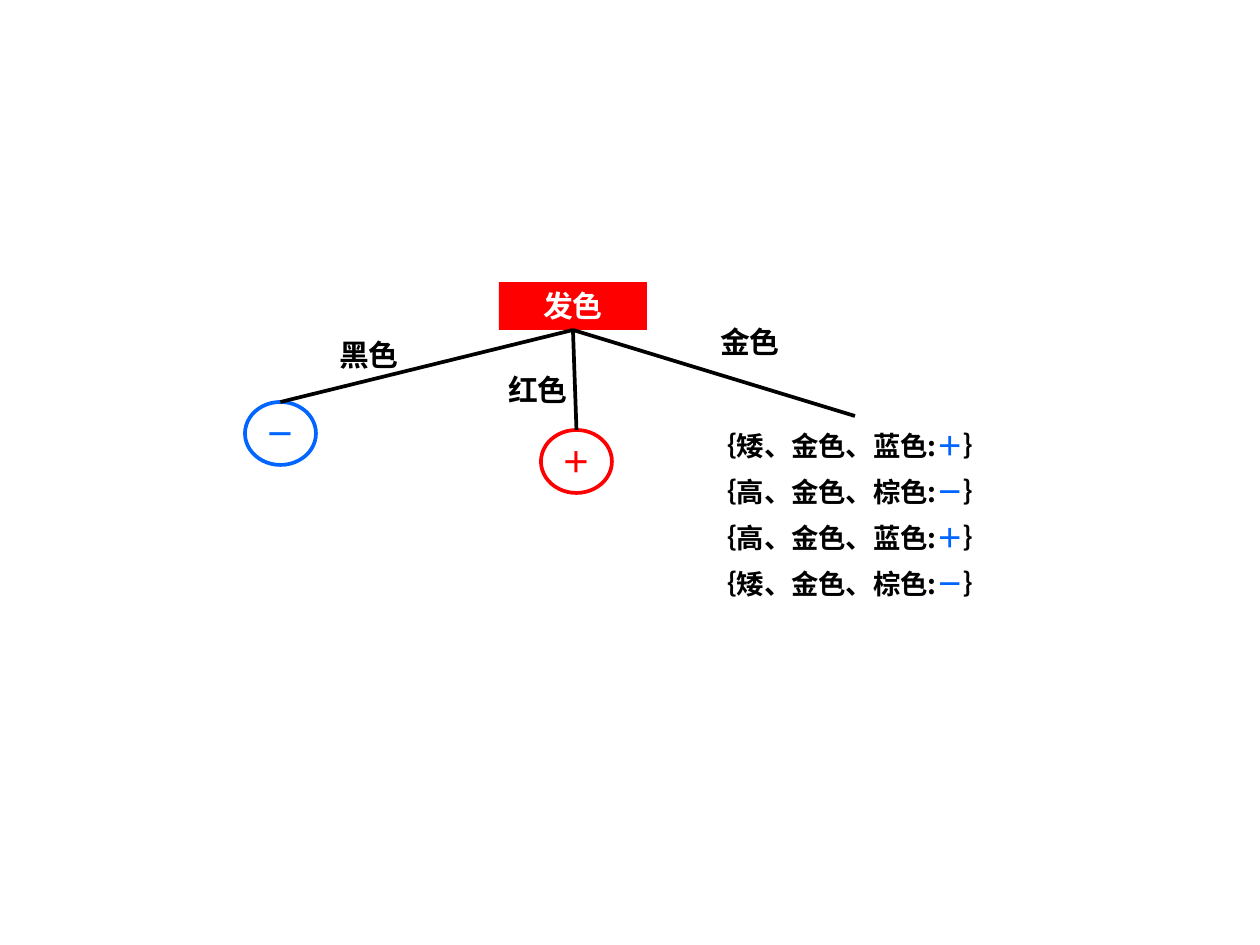
import pptx
import pptx.util
import pptx.dml.color
import pptx.enum.shapes
import pptx.enum.text
import pptx.oxml.ns
import lxml.etree

PX = 7658  # EMU per px
THEME = {
    "ink": "000000", "white": "FFFFFF", "red": "FF0000", "blue": "0066FF",
    "latin": "Arial", "sign": "Calibri", "cjk": "Noto Sans CJK SC",
    "label": 18, "example": 16.5, "row_gap": 8, "line": 2.25,
}
Pt = pptx.util.Pt
SHAPES = pptx.enum.shapes.MSO_SHAPE


def color(name):
    return pptx.dml.color.RGBColor.from_string(THEME[name])


def write(shape, rows, size, anchor="TOP", wrap=True):
    """Fill a shape with centred bold rows of (text, colour, font) runs."""
    frame = shape.text_frame
    layout = {"word_wrap": wrap,
              "auto_size": pptx.enum.text.MSO_AUTO_SIZE.NONE,
              "vertical_anchor": pptx.enum.text.MSO_ANCHOR[anchor]}
    for key, value in layout.items():
        setattr(frame, key, value)
    for index, row in enumerate(rows):
        paragraph = frame.paragraphs[0] if index == 0 else frame.add_paragraph()
        paragraph.alignment = pptx.enum.text.PP_ALIGN.CENTER
        paragraph.line_spacing = Pt(THEME[size] * 1.2)
        paragraph.space_before = Pt(THEME["row_gap"] if index else 0)
        for text, ink, face in row:
            run = paragraph.add_run()
            run.text = text
            run.font.color.rgb = color(ink)
            style = {"size": Pt(THEME[size]), "bold": True, "name": THEME[face]}
            for key, value in style.items():
                setattr(run.font, key, value)
            # East Asian face, placed right after the Latin one
            latin = run.font._element.find(pptx.oxml.ns.qn("a:latin"))
            east_asian = lxml.etree.Element(pptx.oxml.ns.qn("a:ea"), typeface=THEME["cjk"])
            latin.addnext(east_asian)


deck = pptx.Presentation()
deck.slide_width, deck.slide_height = 1260 * PX, 945 * PX
slide = deck.slides.add_slide(deck.slide_layouts[6])
shapes = slide.shapes

# Root of the decision tree
NODE_W, NODE_H = 148, 48
root = shapes.add_shape(SHAPES.RECTANGLE, 499 * PX, 282 * PX, NODE_W * PX, NODE_H * PX)
root.shadow.inherit = False
root.fill.solid()
root.fill.fore_color.rgb = color("red")
root.line.fill.background()
write(root, [[("发色", "white", "latin")]], "label")

# Branch labels
for hair, left, top in [("黑色", 295, 331), ("红色", 464, 366), ("金色", 676, 318)]:
    branch_label = shapes.add_textbox(left * PX, top * PX, NODE_W * PX, NODE_H * PX)
    write(branch_label, [[(hair, "ink", "latin")]], "label")

# Decided leaves
leaves = []
for sign, ink, left, top in [("－", "blue", 245, 402), ("＋", "red", 541, 430)]:
    leaf = shapes.add_shape(SHAPES.OVAL, left * PX, top * PX, 71 * PX, 63 * PX)
    leaf.shadow.inherit = False
    leaf.fill.background()
    leaf.line.color.rgb = color(ink)
    leaf.line.width = Pt(THEME["line"])
    write(leaf, [[(sign, ink, "sign")]], "label", anchor="MIDDLE", wrap=False)
    leaves.append(leaf)

# Branches from the root; the golden one ends freely above its examples
for leaf in leaves + [None]:
    branch = shapes.add_connector(pptx.enum.shapes.MSO_CONNECTOR.STRAIGHT,
                                  573 * PX, 330 * PX, 855 * PX, 416 * PX)
    branch.begin_connect(root, 2)
    if leaf is not None:
        branch.end_connect(leaf, 0)
    branch.line.color.rgb = color("ink")
    branch.line.width = Pt(THEME["line"])
    lxml.etree.SubElement(branch._element.spPr, pptx.oxml.ns.qn("a:effectLst"))

# Examples still undecided under the golden branch
golden_cases = [("矮", "蓝色", "＋"), ("高", "棕色", "－"),
                ("高", "蓝色", "＋"), ("矮", "棕色", "－")]
examples = shapes.add_textbox(690 * PX, 423 * PX, 321 * PX, 195 * PX)
write(examples,
      [[(f"｛{height}、金色、{eyes}:", "ink", "cjk"), (sign, "blue", "latin"), ("｝", "ink", "cjk")]
       for height, eyes, sign in golden_cases],
      "example")

deck.save("out.pptx")
